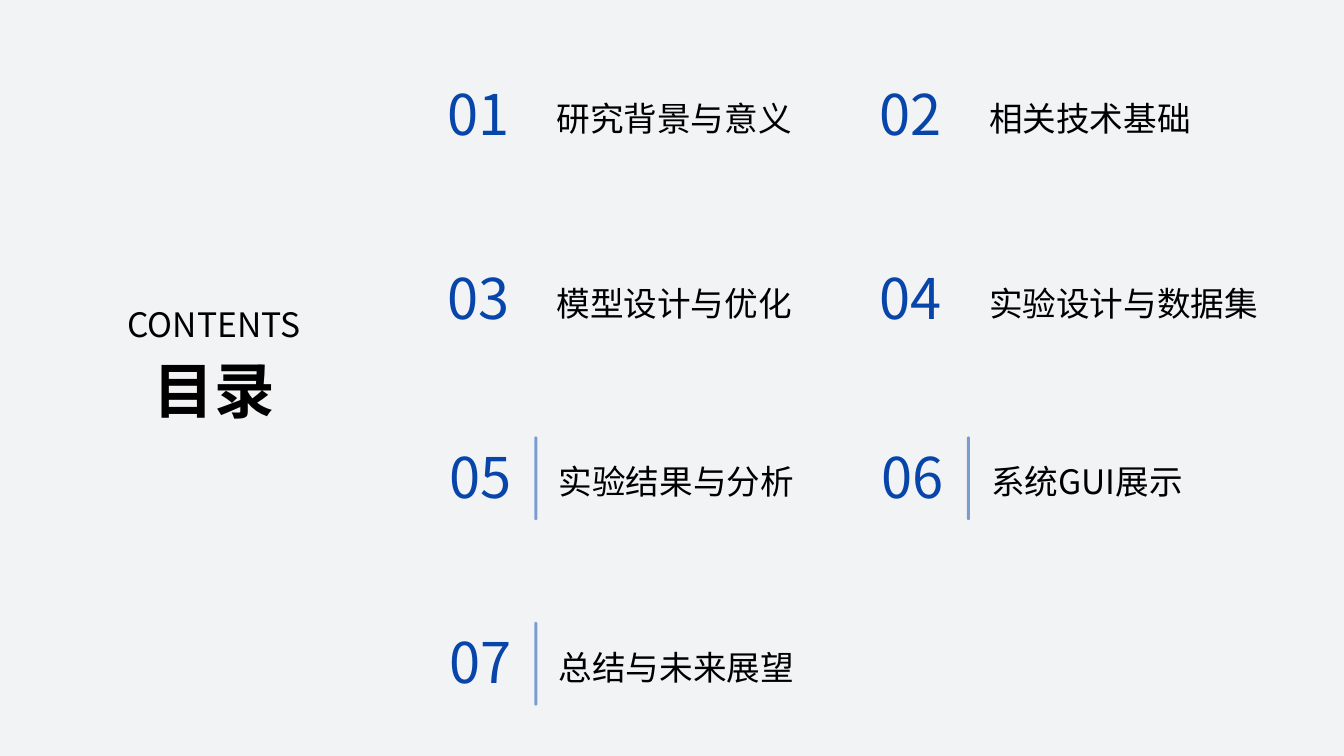
from lxml import etree
from pptx import Presentation
from pptx.dml.color import RGBColor
from pptx.enum.shapes import MSO_SHAPE
from pptx.enum.text import MSO_ANCHOR, PP_ALIGN
from pptx.oxml.ns import qn
from pptx.util import Inches, Pt

ROUND = MSO_SHAPE.ROUNDED_RECTANGLE
TOP, MIDDLE = MSO_ANCHOR.TOP, MSO_ANCHOR.MIDDLE
LEFT, CENTER = PP_ALIGN.LEFT, PP_ALIGN.CENTER

FONT = "Noto Sans CJK SC"
COLORS = {"back": "F2F3F5", "ink": "000000", "blue": "0745AA"}
TOPICS = [
    "研究背景与意义", "相关技术基础",
    "模型设计与优化", "实验设计与数据集",
    "实验结果与分析", "系统GUI展示",
    "总结与未来展望",
]
COLS = (4.42, 8.71)
ROWS = (0.64, 2.47, 4.24, 6.08)
BAR_ROW = 2
SHIFT = 0.02


def color(name):
    return RGBColor.from_string(COLORS[name])


def add_text(slide, text, box, size, ink="ink", align=LEFT, anchor=MIDDLE,
             space=1.18, bold=False, wrap=True):
    frame = slide.shapes.add_textbox(*map(Inches, box)).text_frame
    frame.margin_left = frame.margin_right = 0
    frame.margin_top = frame.margin_bottom = 0
    frame.word_wrap = wrap
    frame.vertical_anchor = anchor
    frame.text = text
    para = frame.paragraphs[0]
    para.alignment = align
    para.line_spacing = space
    run = para.runs[0]
    run.font.size = Pt(size)
    run.font.bold = bold
    run.font.color.rgb = color(ink)
    run.font.name = FONT
    east = etree.SubElement(run.font._element, qn("a:ea"))
    east.set("typeface", FONT)


def add_bar(slide, left, top):
    bar = slide.shapes.add_shape(
        ROUND, Inches(left), Inches(top), Inches(0.03), Inches(0.83))
    bar.adjustments[0] = 0.5
    bar.shadow.inherit = False
    bar.line.fill.background()
    bar.fill.solid()
    bar.fill.fore_color.rgb = color("blue")
    tint = bar._element.spPr.find(qn("a:solidFill"))[0]
    etree.SubElement(tint, qn("a:alpha")).set("val", "50000")


def add_topic(slide, index, topic):
    row, col = divmod(index, len(COLS))
    barred = row >= BAR_ROW
    left = COLS[col] + (SHIFT if barred else 0)
    top = ROWS[row]
    add_text(slide, f"{index + 1:02}", (left, top + 0.17, 0.65, 0.56), 40,
             "blue", CENTER, space=1.09, wrap=False)
    if barred:
        add_bar(slide, left + 0.86, top + 0.09)
    add_text(slide, topic, (left + 1.1, top, 2.75, 1), 24)


def main():
    deck = Presentation()
    deck.slide_width, deck.slide_height = Inches(13.33), Inches(7.5)
    slide = deck.slides.add_slide(deck.slide_layouts[6])
    slide.background.fill.solid()
    slide.background.fill.fore_color.rgb = color("back")
    add_text(slide, "CONTENTS", (0.83, 2.92, 2.58, 0.5), 24,
             align=CENTER, anchor=TOP, space=1.25)
    add_text(slide, "目录", (0.83, 3.47, 2.59, 0.83), 43.2,
             align=CENTER, anchor=TOP, space=1.04, bold=True)
    for index, topic in enumerate(TOPICS):
        add_topic(slide, index, topic)
    deck.save("out.pptx")


if __name__ == "__main__":
    main()
